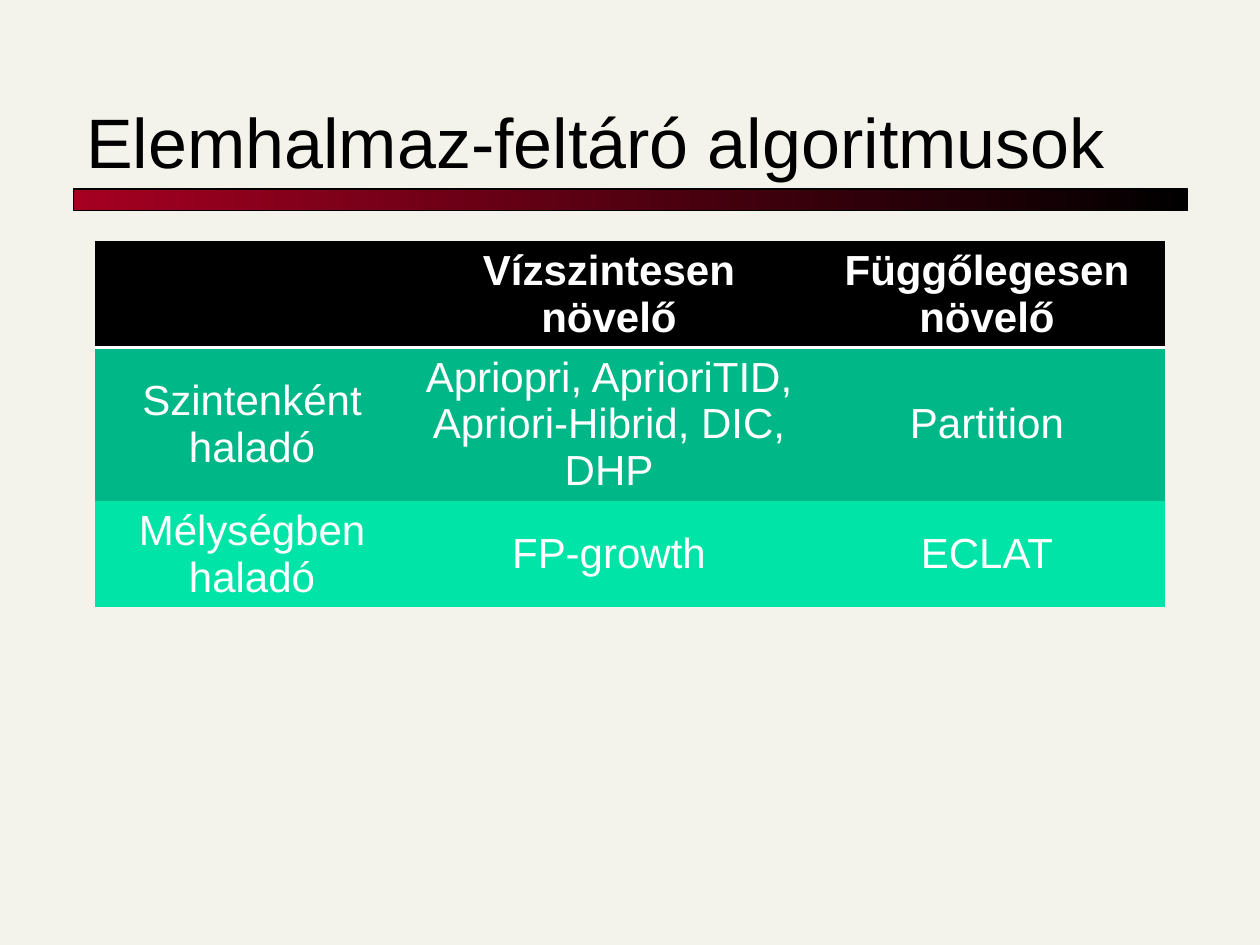
from lxml import etree
from pptx import Presentation
from pptx.dml.color import RGBColor
from pptx.enum import shapes, text
from pptx.oxml.ns import qn
from pptx.util import Pt

NO_STYLE = "{2D5ABB26-0587-4C30-8999-92F81FD0307C}"
HEADER = ["", "Vízszintesen növelő", "Függőlegesen növelő"]
BODY = [
    ["Szintenként haladó", "Apriopri, AprioriTID, Apriori-Hibrid, DIC, DHP", "Partition"],
    ["Mélységben haladó", "FP-growth", "ECLAT"],
]
ROW_FILLS = ["000000", "00B787", "00E4A8"]


def color(value):
    return RGBColor.from_string(value)


def set_font(font, size, value, bold=False):
    formats = {"name": "Arial", "size": Pt(size), "bold": bold}
    for name, setting in formats.items():
        setattr(font, name, setting)
    font.color.rgb = color(value)


def add_title(s, wording, left, top, width, height):
    """Fill the title placeholder and draw the gradient bar beneath it."""
    title = s.shapes.title
    box = {"left": left, "top": top, "width": width, "height": height}
    for name, length in box.items():
        setattr(title, name, Pt(length))
    tf = title.text_frame
    tf.auto_size = text.MSO_AUTO_SIZE.NONE
    tf.vertical_anchor = text.MSO_ANCHOR.BOTTOM
    p = tf.paragraphs[0]
    p.alignment = text.PP_ALIGN.LEFT
    r = p.add_run()
    r.text = wording
    set_font(r.font, 40, "000000")

    bar = s.shapes.add_shape(shapes.MSO_SHAPE.RECTANGLE, Pt(left), Pt(top + height),
                             Pt(width), Pt(12.25))
    bar.shadow.inherit = False
    bar.fill.gradient()
    bar.fill.gradient_angle = 0
    for stop, position, value in zip(bar.fill.gradient_stops, (0, 1), ("A50021", "000000")):
        stop.position = position
        stop.color.rgb = color(value)
    bar.line.color.rgb = color("000000")
    bar.line.width = Pt(0.75)


def add_bottom_border(cell, value, width):
    tc_pr = cell._tc.get_or_add_tcPr()
    line = etree.Element(qn("a:lnB"), w=str(Pt(width)))
    fill = etree.SubElement(line, qn("a:solidFill"))
    etree.SubElement(fill, qn("a:srgbClr"), val=value)
    tc_pr.insert(0, line)


def add_algorithm_table(s, left, top, col_widths, row_heights):
    rows = [HEADER] + BODY
    frame = s.shapes.add_table(len(rows), len(HEADER), Pt(left), Pt(top),
                               Pt(sum(col_widths)), Pt(sum(row_heights)))
    table = frame.table
    table.first_row = True
    table.horz_banding = False
    table._tbl.tblPr.find(qn("a:tableStyleId")).text = NO_STYLE
    for column, width in zip(table.columns, col_widths):
        column.width = Pt(width)
    for i, (row, height, wordings) in enumerate(zip(table.rows, row_heights, rows)):
        row.height = Pt(height)
        for cell, wording in zip(row.cells, wordings):
            cell.fill.solid()
            cell.fill.fore_color.rgb = color(ROW_FILLS[i])
            cell.vertical_anchor = text.MSO_ANCHOR.MIDDLE
            if i == 0:
                add_bottom_border(cell, "FFFFFF", 2)
            if wording:
                p = cell.text_frame.paragraphs[0]
                p.alignment = text.PP_ALIGN.CENTER
                r = p.add_run()
                r.text = wording
                set_font(r.font, 24, "FFFFFF", bold=i == 0)


def main():
    prs = Presentation()
    prs.slide_width, prs.slide_height = Pt(720), Pt(540)
    s = prs.slides.add_slide(prs.slide_layouts[5])
    s.background.fill.solid()
    s.background.fill.fore_color.rgb = color("F4F3EB")
    add_title(s, "Elemhalmaz-feltáró algoritmusok", 42, 30, 636.5, 78)
    add_algorithm_table(s, 54, 138, [180, 228, 204], [60.5, 87.5, 60.5])
    prs.save("out.pptx")


if __name__ == "__main__":
    main()
